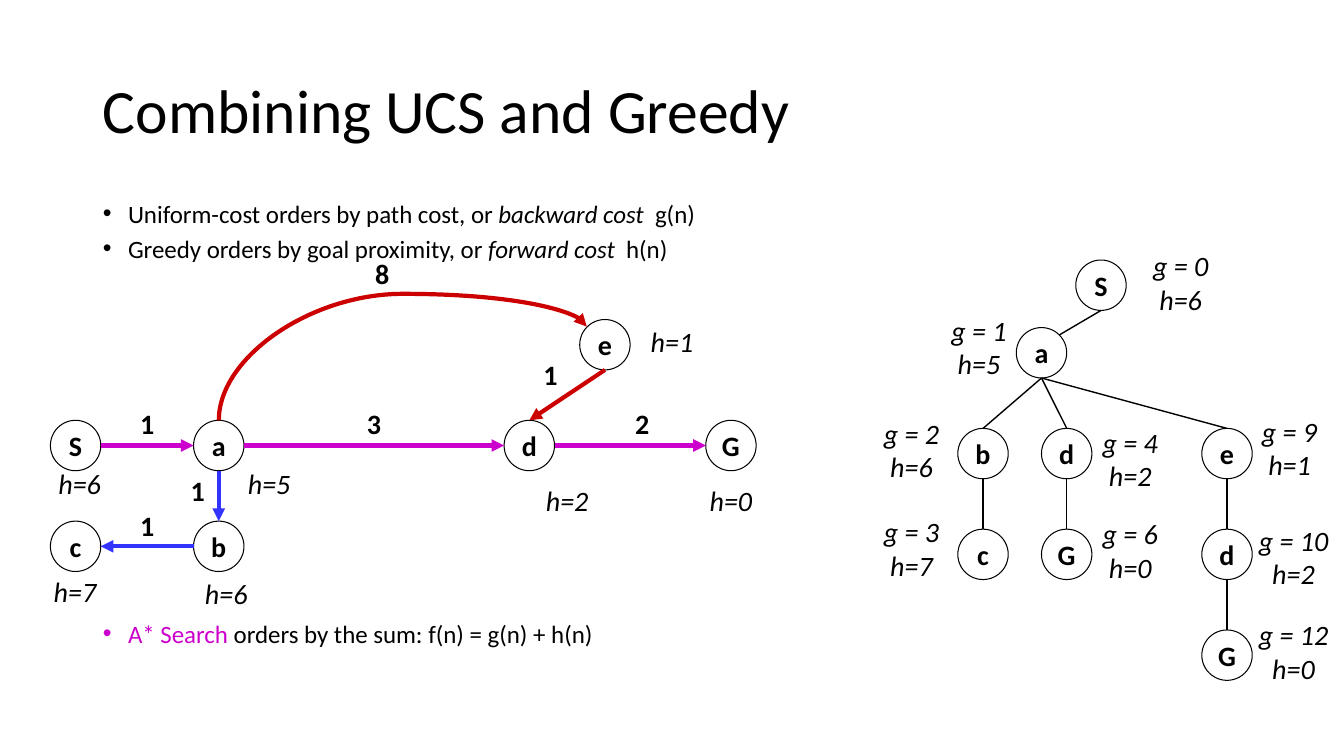
from dataclasses import dataclass
from math import sqrt

from lxml.etree import SubElement
from pptx import Presentation
from pptx.dml.color import RGBColor as RGB
from pptx.enum.shapes import MSO_CONNECTOR as CXN, MSO_SHAPE as SHAPE
from pptx.enum.text import MSO_ANCHOR as ANCHOR, MSO_AUTO_SIZE as FIT, PP_ALIGN as ALIGN
from pptx.oxml.ns import qn
from pptx.util import Inches, Pt


@dataclass(frozen=True)
class Theme:
    font: str = "Calibri"
    ink: RGB = RGB(0, 0, 0)
    paper: RGB = RGB(0xFF, 0xFF, 0xFF)
    blue: RGB = RGB(0x33, 0x33, 0xFF)
    red: RGB = RGB(0xCC, 0, 0)
    purple: RGB = RGB(0xCC, 0, 0xCC)
    title: float = 44
    body: float = 17.8
    label: float = 20
    outline: float = 0.75
    branch: float = 1
    arrow: float = 3


NODE = 0.5
DIAG = sqrt(0.5)
SIDES = {"top": (0, -1), "bottom": (0, 1), "left": (-1, 0), "right": (1, 0),
         "corner": (DIAG, -DIAG)}


def anchor(node, side):
    dx, dy = SIDES[side]
    return node[0] + NODE / 2 * (1 + dx), node[1] + NODE / 2 * (1 + dy)


class SlideBuilder:
    def __init__(self, slide, theme):
        self.slide, self.theme = slide, theme

    def font(self, p, size, bold=False, italic=False):
        f = p.font
        f.name, f.size, f.bold, f.italic = self.theme.font, Pt(size), bold, italic
        f.color.rgb = self.theme.ink

    def place(self, sp, x, y, w, h):
        sp.left, sp.top, sp.width, sp.height = map(Inches, (x, y, w, h))
        tf = sp.text_frame
        tf.auto_size = FIT.NONE
        return tf

    def title(self, text, *box):
        tf = self.place(self.slide.shapes.title, *box)
        tf.vertical_anchor = ANCHOR.MIDDLE
        tf.text = text
        p = tf.paragraphs[0]
        p.alignment, p.line_spacing = ALIGN.LEFT, 0.9
        self.font(p, self.theme.title)

    def bullets(self, items, *box):
        tf = self.place(self.slide.placeholders[1], *box)
        for i, (space, runs) in enumerate(items):
            p = tf.add_paragraph() if i else tf.paragraphs[0]
            p.line_spacing, p.space_before = 0.7, Pt(space)
            self.font(p, self.theme.body)
            pPr = p._p.get_or_add_pPr()
            pPr.set("marL", str(Inches(0.25)))
            pPr.set("indent", str(Inches(-0.25)))
            for text, italic, color in runs:
                r = p.add_run()
                r.text = text
                r.font.italic = italic
                r.font.color.rgb = color

    def node(self, name, x, y):
        sp = self.slide.shapes.add_shape(SHAPE.OVAL, *map(Inches, (x, y, NODE, NODE)))
        sp.shadow.inherit = False
        sp.fill.solid()
        sp.fill.fore_color.rgb = self.theme.paper
        sp.line.color.rgb = self.theme.ink
        sp.line.width = Pt(self.theme.outline)
        tf = sp.text_frame
        tf.word_wrap, tf.vertical_anchor = False, ANCHOR.MIDDLE
        tf.text = name
        p = tf.paragraphs[0]
        p.alignment = ALIGN.CENTER
        self.font(p, self.theme.label, bold=True)

    def label(self, text, x, y, w, h=0.43, bold=False):
        sp = self.slide.shapes.add_textbox(*map(Inches, (x, y, w, h)))
        tf = sp.text_frame
        tf.word_wrap, tf.auto_size = True, FIT.SHAPE_TO_FIT_TEXT
        tf.text = text
        p = tf.paragraphs[0]
        p.alignment = ALIGN.CENTER
        self.font(p, self.theme.label, bold=bold, italic=not bold)

    def line(self, start, end, color, width, arrow=True, kind=CXN.STRAIGHT):
        c = self.slide.shapes.add_connector(kind, *map(Inches, (*start, *end)))
        c.line.color.rgb = color
        c.line.width = Pt(width)
        spPr = c.element.spPr
        if arrow:
            SubElement(spPr.find(qn("a:ln")), qn("a:tailEnd"), type="triangle")
        SubElement(spPr, qn("a:effectLst"))
        return c

    def arc(self, start, end, bend, color, width):
        run, rise = end[0] - start[0], start[1] - end[1]
        cx, cy = (start[0] + end[0]) / 2, (start[1] + end[1]) / 2
        c = self.line((cx - rise / 2, cy - run / 2), (cx + rise / 2, cy + run / 2),
                      color, width, kind=CXN.CURVE)
        c.rotation = 270
        spPr = c.element.spPr
        spPr.find(qn("a:xfrm")).set("rot", str(270 * 60000))
        guides = spPr.find(qn("a:prstGeom")).find(qn("a:avLst"))
        SubElement(guides, qn("a:gd"), name="adj1", fmla=f"val {round(bend * 100000)}")


def main():
    prs = Presentation()
    prs.slide_width, prs.slide_height = Inches(13.33), Inches(7.5)
    t = Theme()
    s = SlideBuilder(prs.slides.add_slide(prs.slide_layouts[1]), t)

    s.title("Combining UCS and Greedy", 0.92, 0.4, 11.5, 1.45)
    s.bullets([
        (10, [("Uniform-cost orders by path cost, or ", False, t.ink),
              ("backward cost  ", True, t.ink), ("g(n)", False, t.ink)]),
        (10, [("Greedy orders by goal proximity, or ", False, t.ink),
              ("forward cost  ", True, t.ink), ("h(n)", False, t.ink)]),
        (260, [("A* Search", False, t.purple),
               (" orders by the sum: f(n) = g(n) + h(n)", False, t.ink)]),
    ], 0.92, 2, 11.5, 4.76)

    graph = {"S": (0.5, 4.17), "a": (1.92, 4.17), "d": (5, 4.17), "G": (7, 4.17),
             "b": (1.92, 5.17), "c": (0.5, 5.17), "e": (5.75, 3.17)}
    for name, at in graph.items():
        s.node(name, *at)
    for a, side_a, b, side_b, color in [
        ("a", "bottom", "b", "top", t.blue), ("b", "left", "c", "right", t.blue),
        ("e", "bottom", "d", "top", t.red), ("S", "right", "a", "left", t.purple),
        ("a", "right", "d", "left", t.purple), ("d", "right", "G", "left", t.purple),
    ]:
        s.line(anchor(graph[a], side_a), anchor(graph[b], side_b), color, t.arrow)
    s.arc(anchor(graph["a"], "top"), (5.82, 3.24), 1.35, t.red, t.arrow)

    for h, x, y, w in [(5, 2.17, 4.58, 1), (6, 1.83, 5.67, 0.83), (2, 5.25, 4.75, 0.75),
                       (6, 0.33, 4.58, 0.92), (0, 6.75, 4.75, 1), (7, 0.33, 5.65, 0.83),
                       (1, 6.25, 3.17, 0.83)]:
        s.label(f"h={h}", x, y, w)
    for cost, x, y in [(1, 1.17, 3.98), (8, 3.5, 2.5), (1, 1.17, 5), (1, 1.67, 4.65),
                       (2, 6.08, 3.98), (3, 3.42, 3.98), (1, 5.17, 3.5)]:
        s.label(str(cost), x, y, 0.58, bold=True)

    tree = {"S": (10.67, 2.58), "Sa": (10.08, 3.25), "Sab": (9.5, 4.25),
            "Sad": (10.33, 4.25), "Sae": (11.92, 4.25), "Sabc": (9.5, 5.25),
            "SadG": (10.33, 5.25), "Saed": (11.92, 5.25), "SaedG": (11.92, 6.25)}
    for route, at in tree.items():
        s.node(route[-1], *at)
        if route != "S":
            side = "corner" if route == "Sa" else "top"
            s.line(anchor(tree[route[:-1]], "bottom"), anchor(at, side),
                   t.ink, t.branch, arrow=False)
    for g, h, x, y, w in [
        (0, 6, 11.25, 2.42, 0.92), (1, 5, 9.25, 3.06, 0.92), (2, 6, 8.58, 4.08, 0.92),
        (3, 7, 8.58, 5.06, 0.92), (4, 2, 10.75, 4.17, 0.92), (6, 0, 10.75, 5.08, 0.92),
        (9, 1, 12.33, 4.06, 0.92), (10, 2, 12.33, 5.14, 1), (12, 0, 12.33, 6.08, 1),
    ]:
        s.label(f"g = {g} h={h}", x, y, w, 0.77)

    prs.save("out.pptx")


if __name__ == "__main__":
    main()
